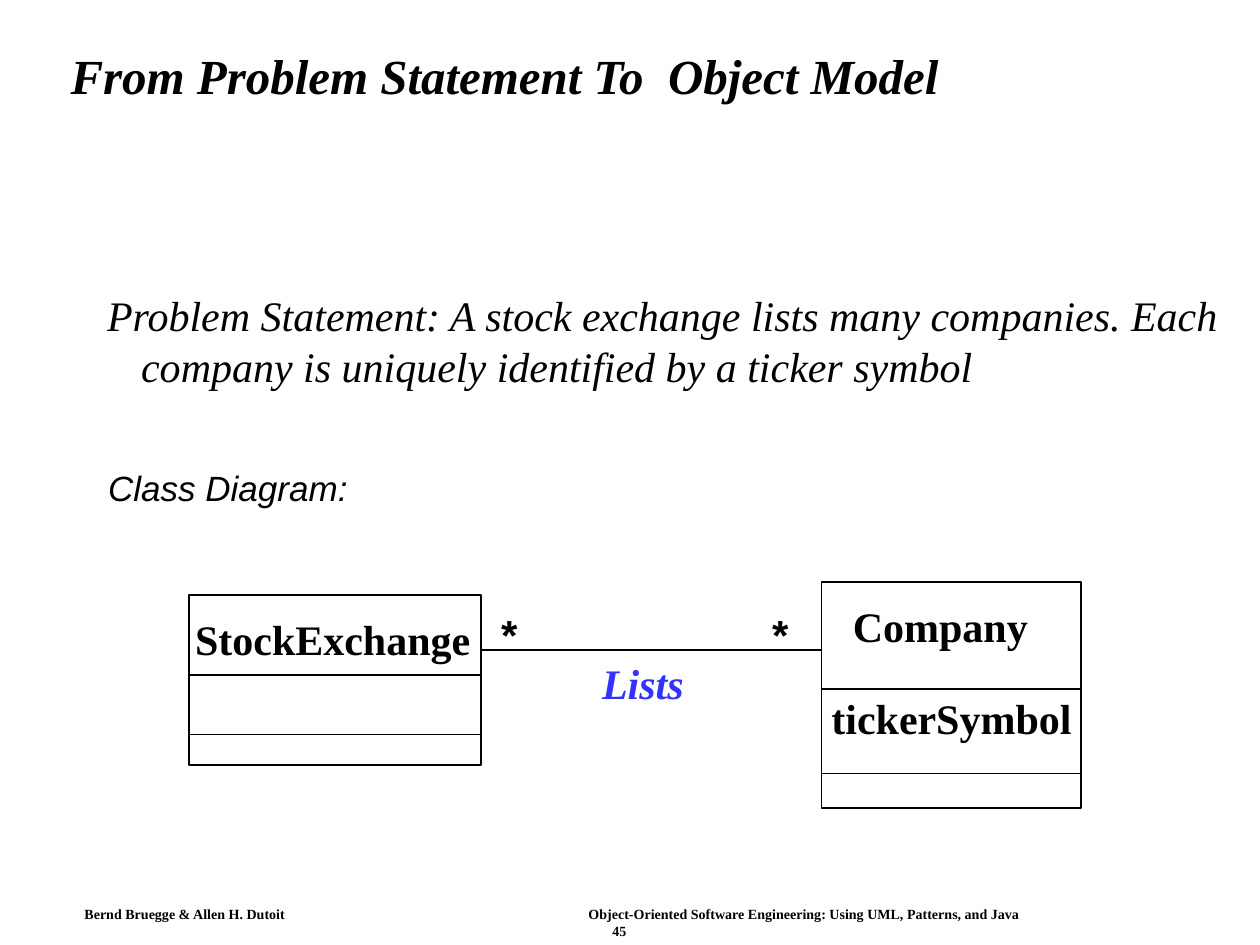
from lxml.etree import SubElement
from pptx import Presentation
from pptx.dml.color import RGBColor
from pptx.enum.shapes import MSO_CONNECTOR as Conn, MSO_SHAPE as Shape
from pptx.enum.text import MSO_ANCHOR as Anchor, MSO_AUTO_SIZE as Auto, PP_ALIGN as Align
from pptx.oxml.ns import qn
from pptx.util import Inches, Pt

SERIF, SANS = "Times New Roman", "Arial"
BLACK, BLUE = "000000", "3333FF"
TITLE = "From Problem Statement To  Object Model"
BODY = ("Problem Statement: A stock exchange lists many companies. "
        "Each company is uniquely identified by a ticker symbol")
FOOT = ("Bernd Bruegge & Allen H. Dutoit\t"
        "Object-Oriented Software Engineering: Using UML, Patterns, and Java")
PAGE = "45"
CLASSES = [
    ((1.5, 4.72, 2.32, 1.35), (5.36, 5.83)),
    ((6.52, 4.62, 2.06, 1.79), (5.47, 6.14)),
]
LINK_Y = 5.16
LABELS = [
    ("Class Diagram:", (0.76, 3.65, 2.1, 0.43), SANS, 20, BLACK, False, True),
    ("StockExchange", (1.45, 4.82, 2.38, 0.5), SERIF, 24, BLACK, True, False),
    ("Company", (6.67, 4.72, 1.59, 0.5), SERIF, 24, BLACK, True, False),
    ("tickerSymbol", (6.5, 5.45, 2.11, 0.5), SERIF, 24, BLACK, True, False),
    ("Lists", (4.68, 5.17, 0.93, 0.5), SERIF, 24, BLUE, True, True),
    ("*", (3.88, 4.78, 0.33, 0.5), SANS, 24, BLACK, True, False),
    ("*", (6.03, 4.78, 0.33, 0.5), SANS, 24, BLACK, True, False),
]


def paint(item, color):
    item.rgb = RGBColor.from_string(color)


def style(para, face, size, color, bold, slant):
    for run in para.runs:
        font = run.font
        font.name, font.size, font.bold, font.italic = face, Pt(size), bold, slant
        paint(font.color, color)


def place(shape, box):
    shape.left, shape.top, shape.width, shape.height = map(Inches, box)


def fill(shape, text, box, *look):
    place(shape, box)
    frame = shape.text_frame
    frame.auto_size = Auto.NONE
    frame.text = text
    para = frame.paragraphs[0]
    para.alignment, para.space_before = Align.LEFT, Pt(0)
    style(para, *look)
    return frame


def label(slide, text, box, *look):
    shape = slide.shapes.add_textbox(*map(Inches, box))
    return fill(shape, text, box, *look)


def rule(slide, start, end, y):
    line = slide.shapes.add_connector(Conn.STRAIGHT, *map(Inches, (start, y, end, y)))
    line.line.width = Pt(1)
    paint(line.line.color, BLACK)
    SubElement(line._element.spPr, qn("a:effectLst"))


def draw_class(slide, box, rules):
    shape = slide.shapes.add_shape(Shape.RECTANGLE, *map(Inches, box))
    shape.shadow.inherit = False
    shape.fill.background()
    shape.line.width = Pt(1)
    paint(shape.line.color, BLACK)
    for y in rules:
        rule(slide, box[0], box[0] + box[2], y)


def add_foot(slide):
    look = (SERIF, 8, BLACK, True, False)
    frame = label(slide, FOOT, (0.59, 7.15, 8.65, 0.33), *look)
    frame.word_wrap = True
    frame.margin_left = frame.margin_right = Inches(0.08)
    frame.margin_top = frame.margin_bottom = Inches(0.04)
    tabs = SubElement(frame.paragraphs[0]._p.get_or_add_pPr(), qn("a:tabLst"))
    SubElement(tabs, qn("a:tab"), pos=str(Inches(4)), algn="l")
    page = frame.add_paragraph()
    page.text, page.alignment = PAGE, Align.CENTER
    style(page, *look)


def main():
    """Build the object model slide."""
    deck = Presentation()
    deck.slide_width, deck.slide_height = Inches(10), Inches(7.5)
    slide = deck.slides.add_slide(deck.slide_layouts[1])
    head, body = slide.placeholders

    frame = fill(head, TITLE, (0.46, 0.24, 8.92, 0.77), SERIF, 28, BLACK, True, True)
    frame.vertical_anchor = Anchor.MIDDLE
    frame.paragraphs[0].line_spacing = 0.9

    frame = fill(body, BODY, (0.75, 2.25, 9.1, 0.9), SERIF, 24, BLACK, False, True)
    props = frame.paragraphs[0]._p.get_or_add_pPr()
    props.set("marL", str(Inches(0.27)))
    props.set("indent", str(-Inches(0.27)))
    SubElement(props, qn("a:buNone"))

    for box, rules in CLASSES:
        draw_class(slide, box, rules)
    (left, _), (right, _) = CLASSES
    rule(slide, left[0] + left[2], right[0], LINK_Y)
    for item in LABELS:
        label(slide, *item)
    add_foot(slide)
    deck.save("out.pptx")


if __name__ == "__main__":
    main()
